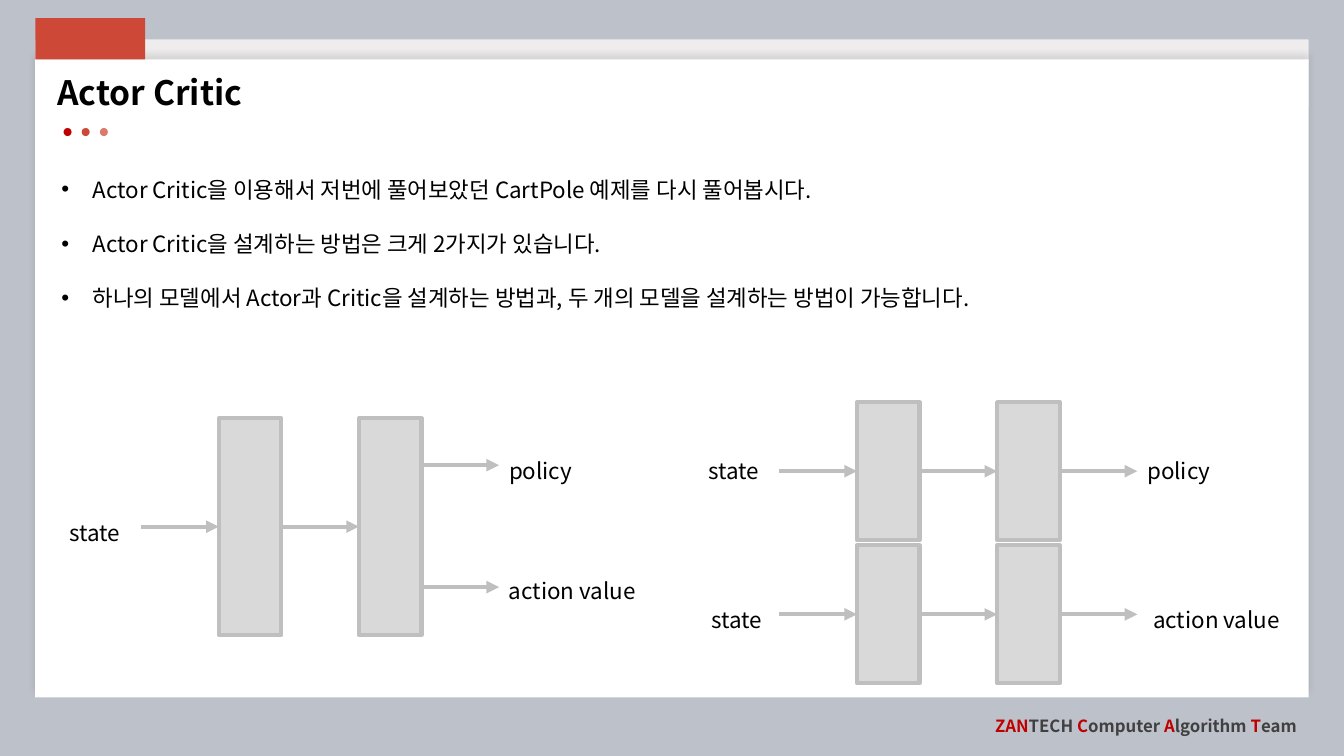
"""Build the Actor Critic slide with its network diagrams."""
from lxml import etree
from pptx import Presentation
from pptx import util as u
from pptx.dml import color
from pptx.enum import shapes, text
from pptx.oxml import ns

FONT = "Noto Sans CJK KR"
RED, CORAL, GREY, SILVER = "C00000", "CD4837", "404040", "BFBFBF"
BOX_WIDTH, ARROW_LENGTH = 0.62, 0.77
PITCH = BOX_WIDTH + ARROW_LENGTH
BULLETS = [
    "Actor Critic을 이용해서 저번에 풀어보았던 CartPole 예제를 다시 풀어봅시다.",
    "Actor Critic을 설계하는 방법은 크게 2가지가 있습니다.",
    "하나의 모델에서 Actor과 Critic을 설계하는 방법과, 두 개의 모델을 설계하는 방법이 가능합니다.",
]
TEAM = [("ZAN", RED), ("TECH ", GREY), ("C", RED), ("omputer ", GREY),
        ("A", RED), ("lgorithm ", GREY), ("T", RED), ("eam", GREY)]


def rgb(value):
    """Return the colour of a hex string."""
    return color.RGBColor.from_string(value)


def place(item, left, top, width, height):
    """Move an item to a box given in inches."""
    item.left, item.top = u.Inches(left), u.Inches(top)
    item.width, item.height = u.Inches(width), u.Inches(height)


def add_run(paragraph, words, size, hue="000000", bold=False):
    """Add one formatted run to a paragraph."""
    run = paragraph.add_run()
    run.text = words
    run.font.size, run.font.bold, run.font.name = u.Pt(size), bold, FONT
    run.font.color.rgb = rgb(hue)
    east_asian = etree.SubElement(run.font._element, ns.qn("a:ea"))
    east_asian.set("typeface", FONT)


def space(paragraph, lines):
    """Set line spacing and the gap above a paragraph."""
    paragraph.line_spacing, paragraph.space_before = lines, u.Pt(10)


def add_block(slide, kind, left, top, width, height, fill, outline=None):
    """Add a flat preset shape."""
    block = slide.shapes.add_shape(kind, *map(u.Inches, (left, top, width, height)))
    block.shadow.inherit = False
    block.fill.solid()
    block.fill.fore_color.rgb = rgb(fill)
    if outline:
        block.line.color.rgb, block.line.width = rgb(outline), u.Pt(3)
    else:
        block.line.fill.background()
    return block


def add_arrow(slide, left, y):
    """Add one horizontal arrow."""
    arrow = slide.shapes.add_connector(
        shapes.MSO_CONNECTOR.STRAIGHT, u.Inches(left), u.Inches(y),
        u.Inches(left + ARROW_LENGTH), u.Inches(y))
    arrow.line.color.rgb, arrow.line.width = rgb(SILVER), u.Pt(3)
    etree.SubElement(arrow.line._get_or_add_ln(), ns.qn("a:tailEnd"), type="triangle")
    etree.SubElement(arrow._element.spPr, ns.qn("a:effectLst"))


def add_label(slide, words, left, top, width):
    """Add the name of an input or output."""
    label = slide.shapes.add_textbox(*map(u.Inches, (left, top, width, 0.52)))
    label.text_frame.word_wrap = True
    paragraph = label.text_frame.paragraphs[0]
    space(paragraph, 1.5)
    add_run(paragraph, words, 16)


def add_frame(slide, left, top, width, height):
    """Draw the white page with its tab, dots and shadow."""
    kinds = shapes.MSO_SHAPE
    strip = add_block(slide, kinds.ROUNDED_RECTANGLE, left, top - 0.2, width, 0.67, "EEECED")
    strip.adjustments[0] = 0.015
    page = add_block(slide, kinds.RECTANGLE, left, top, width, height, "FFFFFF")
    effects = page._element.spPr.find(ns.qn("a:effectLst"))
    shadow = etree.SubElement(effects, ns.qn("a:outerShdw"), blurRad=str(u.Pt(4)),
                              dist=str(u.Pt(3)), dir="16200000", rotWithShape="0")
    black = etree.SubElement(shadow, ns.qn("a:srgbClr"), val="000000")
    etree.SubElement(black, ns.qn("a:alpha"), val="10000")
    for index, hue in enumerate((RED, CORAL, "DA796C")):
        add_block(slide, kinds.OVAL, left + 0.28 + index * 0.18, top + 0.68, 0.08, 0.08, hue)
    add_block(slide, kinds.RECTANGLE, left, top - 0.41, 1.09, 0.41, CORAL)


def add_footer(slide, left, top, width, height):
    """Write the team name in two colours."""
    team = slide.shapes.add_textbox(*map(u.Inches, (left, top, width, height)))
    team.text_frame.word_wrap = False
    team.text_frame.vertical_anchor = text.MSO_ANCHOR.MIDDLE
    paragraph = team.text_frame.paragraphs[0]
    paragraph.alignment = text.PP_ALIGN.RIGHT
    for words, hue in TEAM:
        add_run(paragraph, words, 12, hue, True)


def fill_title(title, left, top, width, height):
    """Write the heading into the title placeholder."""
    place(title, left, top, width, height)
    frame = title.text_frame
    frame.auto_size = text.MSO_AUTO_SIZE.NONE
    frame.vertical_anchor = text.MSO_ANCHOR.MIDDLE
    heading = frame.paragraphs[0]
    heading.alignment = text.PP_ALIGN.LEFT
    heading.line_spacing = 0.9
    add_run(heading, "Actor Critic", 24, bold=True)


def fill_body(body, left, top, width, height):
    """Write the bullets into the body placeholder."""
    place(body, left, top, width, height)
    frame = body.text_frame
    frame.auto_size = text.MSO_AUTO_SIZE.NONE
    for index, words in enumerate(BULLETS):
        bullet = frame.add_paragraph() if index else frame.paragraphs[0]
        space(bullet, 1.5)
        properties = bullet._p.get_or_add_pPr()
        properties.set("marL", str(u.Inches(0.31)))
        properties.set("indent", str(-u.Inches(0.31)))
        add_run(bullet, words, 16)


def add_network(slide, left, top, height, state, outputs):
    """Draw two layers, the arrows through them and their labels."""
    middle = top + height / 2
    for index in range(2):
        start = left + index * PITCH
        add_block(slide, shapes.MSO_SHAPE.RECTANGLE, start + ARROW_LENGTH, top,
                  BOX_WIDTH, height, "D9D9D9", SILVER)
        add_arrow(slide, start, middle)
    state_dx, state_dy = state
    add_label(slide, "state", left + state_dx, middle + state_dy, 0.88)
    exit_left = left + 2 * PITCH
    for words, offset, dx, dy, width in outputs:
        add_arrow(slide, exit_left, middle + offset)
        add_label(slide, words, exit_left + ARROW_LENGTH + dx, middle + offset + dy, width)


def main():
    """Build and save the slide."""
    deck = Presentation()
    deck.slide_width, deck.slide_height = u.Inches(13.33), u.Inches(7.5)
    slide = deck.slides.add_slide(deck.slide_layouts[1])
    title, body = slide.placeholders
    slide.background.fill.solid()
    slide.background.fill.fore_color.rgb = rgb("BDC1CA")
    add_frame(slide, 0.35, 0.59, 12.63, 6.33)
    add_footer(slide, 9.71, 7.05, 3.25, 0.3)
    fill_body(body, 0.51, 1.56, 12.23, 5.16)
    fill_title(title, 0.47, 0.71, 4.21, 0.46)
    for placeholder in (body, title):
        slide.shapes._spTree.append(placeholder._element)
    add_network(slide, 1.4, 4.15, 2.15, (-0.81, -0.26),
                [("policy", -0.61, 0, -0.26, 0.88), ("action value", 0.6, 0, -0.28, 1.63)])
    add_network(slide, 7.73, 3.99, 1.37, (-0.8, -0.32), [("policy", 0, 0, -0.32, 0.88)])
    add_network(slide, 7.73, 5.41, 1.37, (-0.77, -0.26), [("action value", 0, 0.06, -0.26, 1.63)])
    deck.save("out.pptx")


if __name__ == "__main__":
    main()
